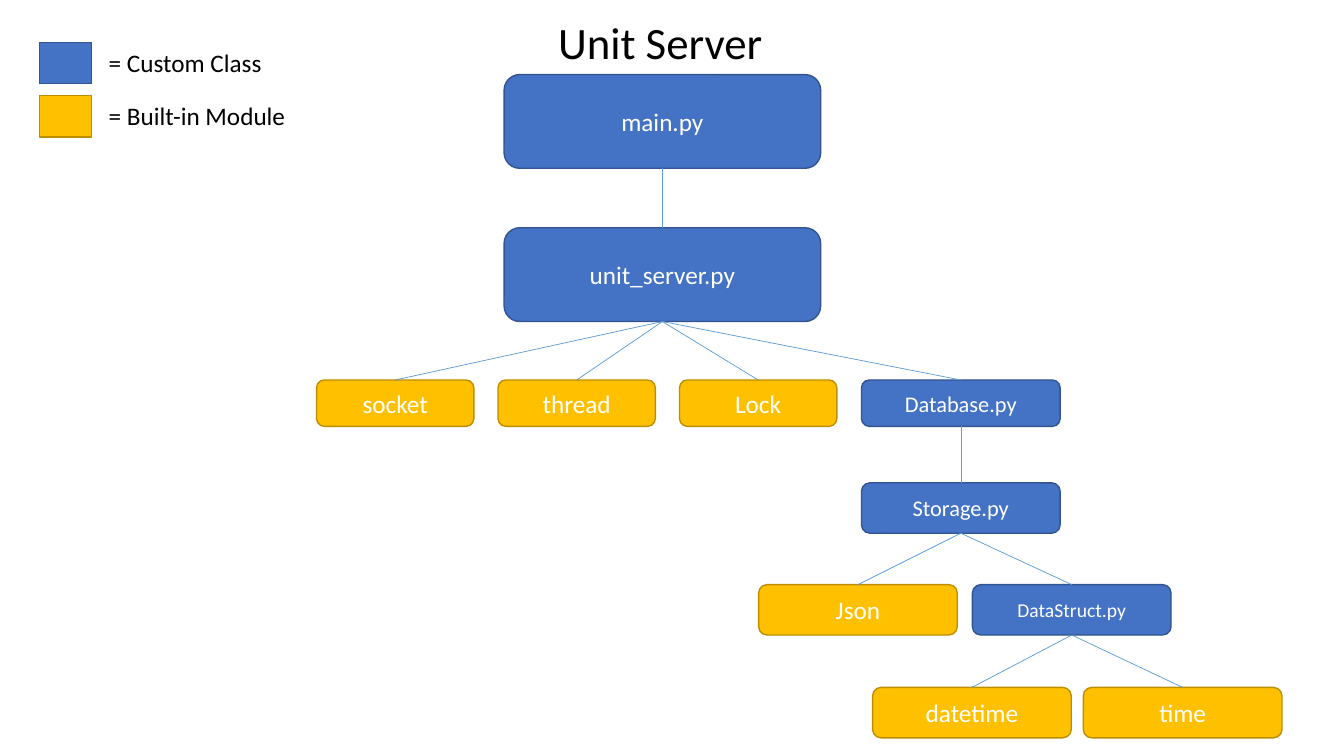
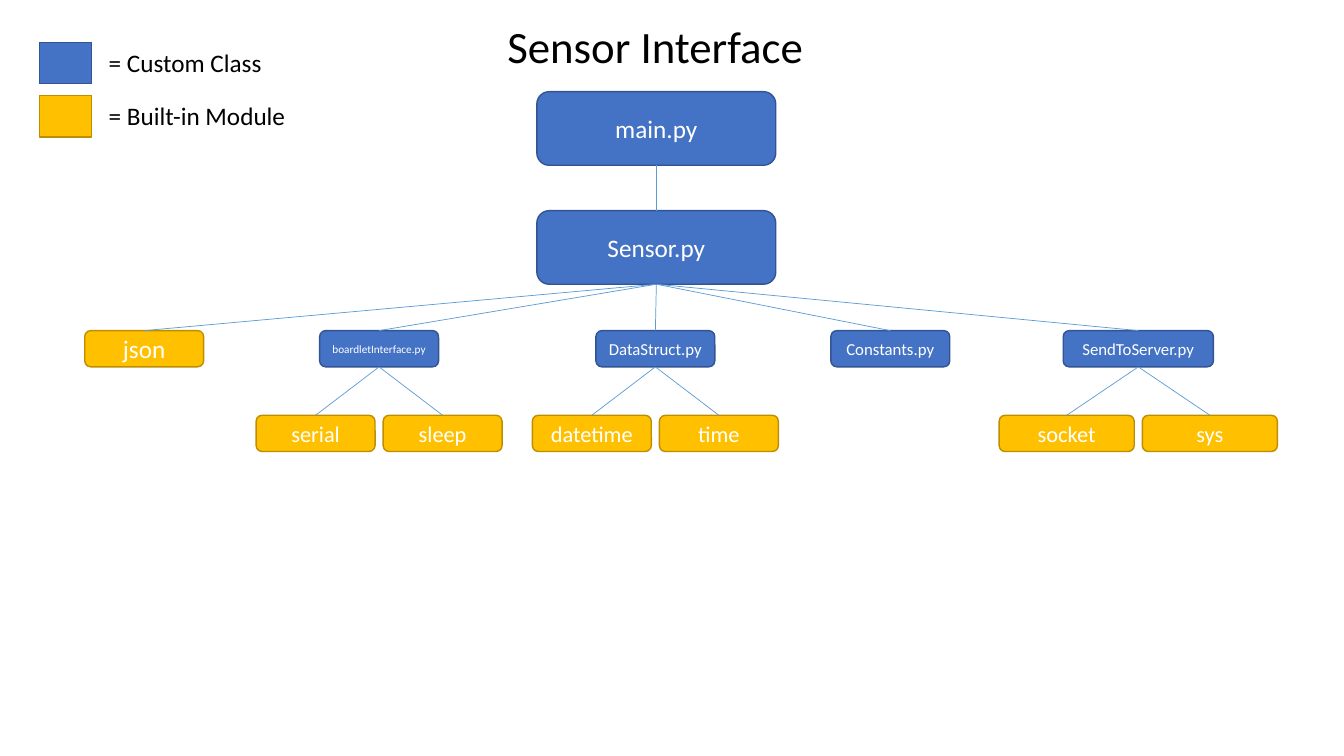
"""Build two module-dependency tree slides."""
import dataclasses

import lxml.etree
import pptx
import pptx.dml.color
import pptx.enum.shapes
import pptx.enum.text
import pptx.oxml.ns
import pptx.util

Inches = pptx.util.Inches
Shapes = pptx.enum.shapes.MSO_SHAPE
Align = pptx.enum.text.PP_ALIGN
Anchor = pptx.enum.text.MSO_ANCHOR


@dataclasses.dataclass(frozen=True)
class Theme:
    """Shared colours, type sizes and line widths."""
    font: str = "Calibri"
    ink: str = "000000"
    light: str = "FFFFFF"
    link: str = "5B9BD5"
    custom: tuple = ("4472C4", "325491")
    builtin: tuple = ("FFC000", "BD8E00")
    title_size: int = 32
    label_size: int = 18
    child_size: int = 16
    compact_size: int = 14
    small_size: int = 12
    tiny_size: int = 8
    edge_width: float = 1
    link_width: float = 0.5


@dataclasses.dataclass(frozen=True)
class Node:
    """One tree box, with its centre measured from the tree's left edge."""
    label: str
    level: int
    center: float
    width: float
    colors: tuple = Theme.custom
    size: int = Theme.label_size
    parent: str = ""


def color(code):
    """Turn a hex code into a colour."""
    return pptx.dml.color.RGBColor.from_string(code)


def apply_format(target, values):
    """Set each format value on the target."""
    for name, value in values.items():
        setattr(target, name, value)


def place(shape, box):
    """Move a shape into a box given in inches."""
    names = ("left", "top", "width", "height")
    apply_format(shape, dict(zip(names, map(Inches, box))))


def write_text(shape, text, size, ink, align, anchor):
    """Write one formatted paragraph into a shape."""
    frame = shape.text_frame
    apply_format(frame, {"word_wrap": True, "vertical_anchor": anchor,
                         "auto_size": pptx.enum.text.MSO_AUTO_SIZE.NONE})
    para = frame.paragraphs[0]
    para.alignment = align
    span = para.add_run()
    span.text = text
    apply_format(span.font, {"name": Theme.font, "size": pptx.util.Pt(size)})
    span.font.color.rgb = color(ink)


def add_block(page, kind, box, colors):
    """Add a filled and outlined shape."""
    block = page.shapes.add_shape(kind, *map(Inches, box))
    block.shadow.inherit = False
    fill, edge = colors
    block.fill.solid()
    block.fill.fore_color.rgb = color(fill)
    block.line.color.rgb = color(edge)
    block.line.width = pptx.util.Pt(Theme.edge_width)
    return block


def add_title(page, box, text):
    """Place the slide title."""
    title = page.shapes.title
    place(title, box)
    write_text(title, text, Theme.title_size, Theme.ink, Align.CENTER, Anchor.TOP)


def add_legend(page, box):
    """Add the colour key, one row per kind of module."""
    left, top, width, height = box
    entries = (("= Custom Class", Theme.custom), ("= Built-in Module", Theme.builtin))
    swatch_width, swatch_height, text_offset = 0.52, 0.41, 0.59
    pitch = height - swatch_height
    for row, (text, colors) in enumerate(entries):
        row_top = top + row * pitch
        add_block(page, Shapes.RECTANGLE,
                  (left, row_top, swatch_width, swatch_height), colors)
        caption = page.shapes.add_textbox(*map(Inches, (
            left + text_offset, row_top, width - text_offset, swatch_height)))
        write_text(caption, text, Theme.label_size, Theme.ink, Align.LEFT, Anchor.TOP)


def add_link(page, parent, child):
    """Connect the bottom of a parent to the top of its child."""
    link = page.shapes.add_connector(
        pptx.enum.shapes.MSO_CONNECTOR.STRAIGHT, 0, 0, 0, 0)
    link.begin_connect(parent, 2)
    link.end_connect(child, 0)
    link.line.color.rgb = color(Theme.link)
    link.line.width = pptx.util.Pt(Theme.link_width)
    lxml.etree.SubElement(link._element.spPr, pptx.oxml.ns.qn("a:effectLst"))


def add_tree(page, origin, levels, nodes):
    """Draw the nodes on their levels, then the links between them."""
    left, top = origin
    blocks = {}
    for node in nodes:
        level_top, height = levels[node.level]
        box = (left + node.center - node.width / 2, top + level_top,
               node.width, height)
        block = add_block(page, Shapes.ROUNDED_RECTANGLE, box, node.colors)
        write_text(block, node.label, node.size, Theme.light,
                   Align.CENTER, Anchor.MIDDLE)
        blocks[node.label] = block
    for node in nodes:
        if node.parent:
            add_link(page, blocks[node.parent], blocks[node.label])


def add_tree_page(deck, title, title_top, origin, levels, nodes):
    """Add a slide with a title, a tree and the colour key."""
    page = deck.slides.add_slide(deck.slide_layouts[5])
    add_title(page, (0.22, title_top, 12.66, 0.64), title)
    add_tree(page, origin, levels, nodes)
    add_legend(page, (0.39, 0.42, 3.54, 0.94))


def add_server_page(deck):
    """Add the unit server tree."""
    levels = ((0, 0.93), (1.52, 0.93), (3.03, 0.46),
              (4.05, 0.5), (5.06, 0.5), (6.08, 0.5))
    root, wide = "unit_server.py", 1.97
    nodes = [Node("main.py", 0, 3.43, 3.14),
             Node(root, 1, 3.43, 3.14, parent="main.py")]
    nodes += [Node(label, 2, 0.78 + 1.8 * column, 1.56, Theme.builtin, parent=root)
              for column, label in enumerate(("socket", "thread", "Lock"))]
    nodes += [
        Node("Database.py", 2, 6.39, wide, size=Theme.child_size, parent=root),
        Node("Storage.py", 3, 6.39, wide, size=Theme.child_size, parent="Database.py"),
        Node("Json", 4, 5.37, wide, Theme.builtin, parent="Storage.py"),
        Node("DataStruct.py", 4, 7.49, wide, size=Theme.compact_size,
             parent="Storage.py"),
        Node("datetime", 5, 6.5, wide, Theme.builtin, parent="DataStruct.py"),
        Node("time", 5, 8.59, wide, Theme.builtin, parent="DataStruct.py"),
    ]
    add_tree_page(deck, "Unit Server", 0.1, (3.14, 0.74), levels, nodes)


def add_sensor_page(deck):
    """Add the sensor interface tree."""
    levels = ((0, 0.73), (1.18, 0.73), (2.37, 0.36), (3.21, 0.36))
    root, narrow, gap = "Sensor.py", 1.18, 0.08
    nodes = [
        Node("main.py", 0, 5.67, 2.37),
        Node(root, 1, 5.67, 2.37, parent="main.py"),
        Node("json", 2, 0.59, narrow, Theme.builtin, parent=root),
        Node("Constants.py", 2, 7.99, narrow, size=Theme.small_size, parent=root),
    ]
    branches = (
        ("boardletInterface.py", 2.92, narrow, Theme.tiny_size, narrow,
         ("serial", "sleep")),
        ("DataStruct.py", 5.66, narrow, Theme.small_size, narrow,
         ("datetime", "time")),
        ("SendToServer.py", 10.45, 1.49, Theme.small_size, 1.34,
         ("socket", "sys")),
    )
    for label, center, width, size, child_width, children in branches:
        nodes.append(Node(label, 2, center, width, size=size, parent=root))
        reach = (child_width + gap) / 2
        for side, child in zip((-1, 1), children):
            nodes.append(Node(child, 3, center + side * reach, child_width,
                              Theme.builtin, Theme.child_size, label))
    add_tree_page(deck, "Sensor Interface ", 0.14, (0.84, 0.91), levels, nodes)


def main():
    """Build and save the deck."""
    deck = pptx.Presentation()
    apply_format(deck, {"slide_width": Inches(13.33), "slide_height": Inches(7.5)})
    add_server_page(deck)
    add_sensor_page(deck)
    deck.save("out.pptx")


main()
